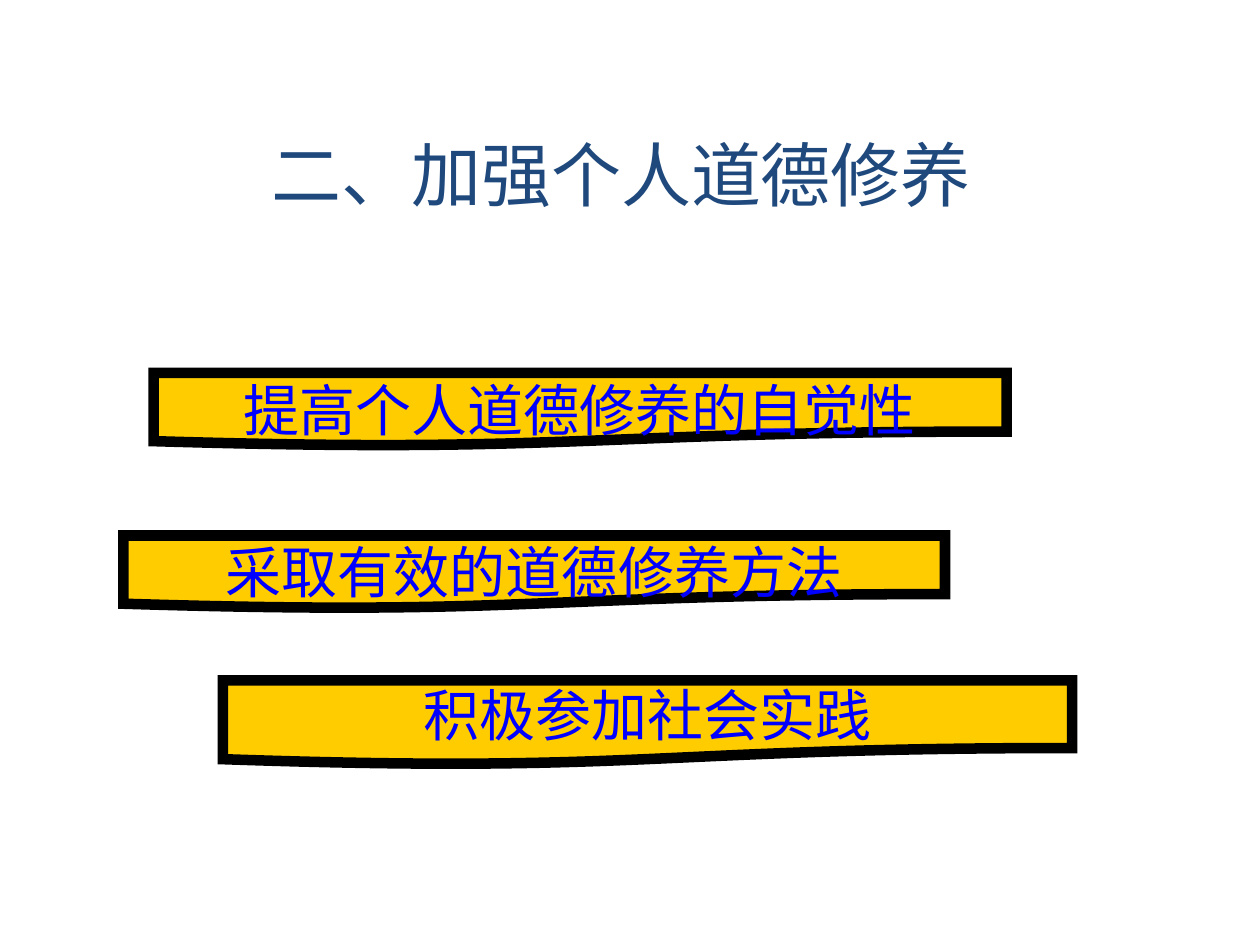
from lxml.etree import SubElement
from pptx import Presentation
from pptx.dml.color import RGBColor
from pptx.enum.shapes import MSO_SHAPE
from pptx.enum.text import MSO_ANCHOR, MSO_AUTO_SIZE, PP_ALIGN
from pptx.oxml.ns import qn
from pptx.util import Inches, Pt

CJK = "Noto Sans CJK SC"


def color(code):
    return RGBColor.from_string(code)


def write(frame, text, size, font, code):
    par = frame.paragraphs[0]
    par.alignment = PP_ALIGN.CENTER
    run = par.add_run()
    run.text = text
    run.font.size = Pt(size)
    run.font.name = font
    run.font.color.rgb = color(code)
    SubElement(run.font._element, qn("a:ea")).set("typeface", CJK)
    return par


def place(shape, box):
    shape.left, shape.top, shape.width, shape.height = map(Inches, box)


def add_title(slide, box, text):
    title = slide.shapes.title
    place(title, box)
    frame = title.text_frame
    frame.auto_size = MSO_AUTO_SIZE.NONE
    frame.vertical_anchor = MSO_ANCHOR.TOP
    write(frame, text, 40, CJK, "1F497D")


def add_banner(slide, box, text, spacing):
    banner = slide.shapes.add_shape(
        MSO_SHAPE.FLOWCHART_DOCUMENT, *map(Inches, box))
    banner.shadow.inherit = False
    banner.fill.solid()
    banner.fill.fore_color.rgb = color("FFCC00")
    banner.line.color.rgb = color("000000")
    banner.line.width = Pt(6)
    outline = banner.line._get_or_add_ln()
    SubElement(outline, qn("a:miter")).set("lim", "800000")
    frame = banner.text_frame
    frame.word_wrap = False
    frame.vertical_anchor = MSO_ANCHOR.MIDDLE
    par = write(frame, text, 32, "Arial", "0000FF")
    par.line_spacing = spacing


def main():
    deck = Presentation()
    deck.slide_width, deck.slide_height = Inches(10), Inches(7.5)
    slide = deck.slides.add_slide(deck.slide_layouts[5])
    add_title(slide, (0.43, 0.99, 9, 1.25), "二、加强个人道德修养")
    banners = [
        ((1.22, 2.96, 6.77, 0.58), "提高个人道德修养的自觉性", 1.2),
        ((0.98, 4.25, 6.52, 0.58), "采取有效的道德修养方法", 1.2),
        ((1.77, 5.4, 6.74, 0.67), "积极参加社会实践", 1.0),
    ]
    for box, text, spacing in banners:
        add_banner(slide, box, text, spacing)
    deck.save("out.pptx")


if __name__ == "__main__":
    main()
